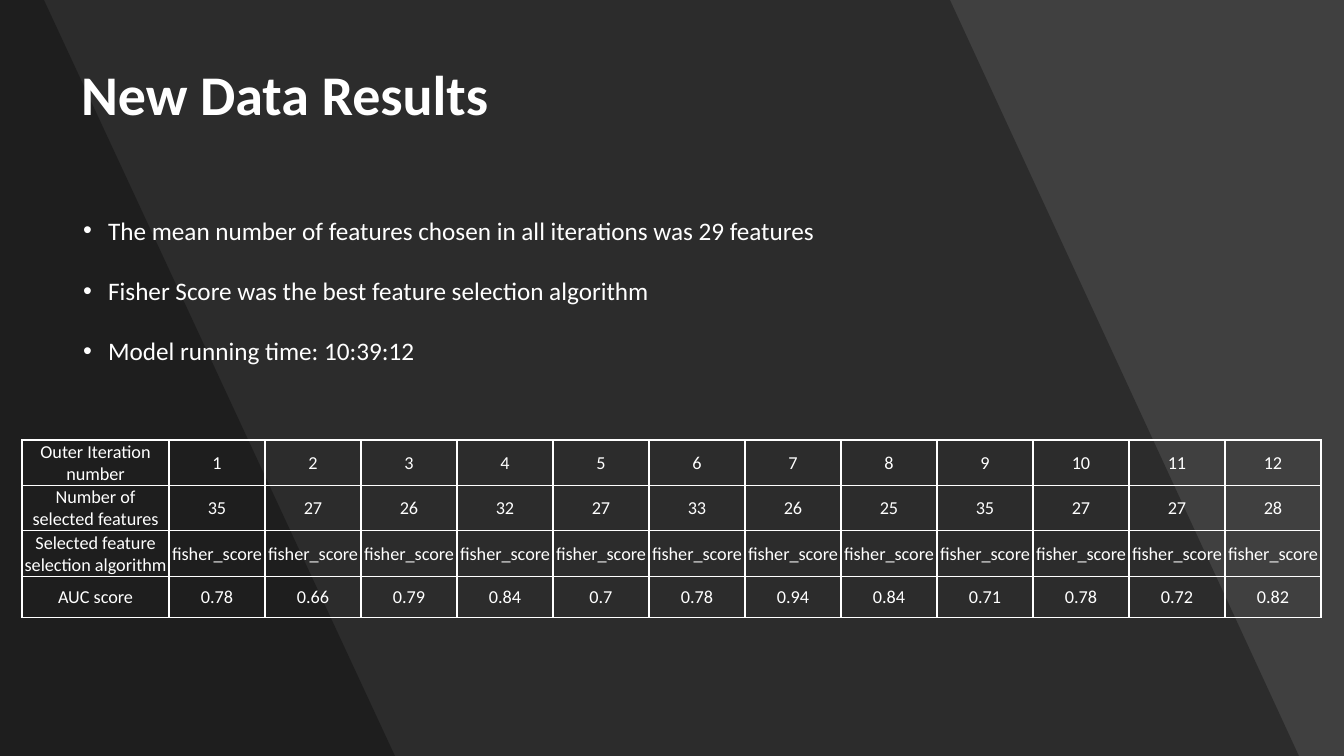
import lxml.etree
import pptx
import pptx.dml.color
import pptx.enum.text
import pptx.oxml
import pptx.oxml.ns
import pptx.util

EMU_PER_PX = 914400 / 100.8
WIDTH, HEIGHT = 1344, 756
FONT = "Calibri"
COLORS = {"background": "404040", "band": "000000", "text": "FFFFFF", "border": "FFFFFF"}

TITLE = "New Data Results"
FINDINGS = [
    "The mean number of features chosen in all iterations was 29 features",
    "Fisher Score was the best feature selection algorithm",
    "Model running time: 10:39:12",
]
FEATURE_COUNTS = [35, 27, 26, 32, 27, 33, 26, 25, 35, 27, 27, 28]
AUC_SCORES = [0.78, 0.66, 0.79, 0.84, 0.7, 0.78, 0.94, 0.84, 0.71, 0.78, 0.72, 0.82]
ITERATIONS = len(AUC_SCORES)
RESULTS = [
    ["Outer Iteration number", *range(1, ITERATIONS + 1)],
    ["Number of selected features", *FEATURE_COUNTS],
    ["Selected feature selection algorithm", *["fisher_score"] * ITERATIONS],
    ["AUC score", *AUC_SCORES],
]


def px(length):
    return pptx.util.Emu(round(length * EMU_PER_PX))


def rgb(name):
    return pptx.dml.color.RGBColor.from_string(COLORS[name])


def style_font(paragraph, size, bold=False):
    font = paragraph.font
    font.name = FONT
    font.size = pptx.util.Pt(size)
    font.bold = bold
    font.color.rgb = rgb("text")


def place(placeholder, box):
    placeholder.left, placeholder.top, placeholder.width, placeholder.height = map(px, box)
    placeholder.text_frame.auto_size = pptx.enum.text.MSO_AUTO_SIZE.NONE
    placeholder.text_frame.word_wrap = True


def add_band(slide, box, top_width):
    left, top, width, height = box
    outline = slide.shapes.build_freeform(left, top, scale=EMU_PER_PX)
    outline.add_line_segments(
        [(left + top_width, top), (left + width, top + height), (left, top + height)]
    )
    band = outline.convert_to_shape()
    band.shadow.inherit = False
    band.line.fill.background()
    band.fill.solid()
    band.fill.fore_color.rgb = rgb("band")
    band_color = band.element.spPr.find(".//" + pptx.oxml.ns.qn("a:srgbClr"))
    lxml.etree.SubElement(band_color, pptx.oxml.ns.qn("a:alpha"), val="30000")
    slide.shapes.title.element.addprevious(band.element)


def fill_title(slide, box):
    title = slide.shapes.title
    place(title, box)
    title.text_frame.text = TITLE
    title.text_frame.vertical_anchor = pptx.enum.text.MSO_ANCHOR.MIDDLE
    heading = title.text_frame.paragraphs[0]
    heading.alignment = pptx.enum.text.PP_ALIGN.LEFT
    heading.line_spacing = 0.9
    style_font(heading, 40, bold=True)


def fill_findings(slide, box):
    findings = slide.placeholders[1]
    place(findings, box)
    findings.text_frame.text = "\n".join(FINDINGS)
    for finding in findings.text_frame.paragraphs:
        properties = finding._p.get_or_add_pPr()
        properties.set("marL", str(px(50)))
        properties.set("indent", str(px(-25)))
        finding.space_before = pptx.util.Pt(0)
        finding.space_after = pptx.util.Pt(21.5)
        style_font(finding, 18)


def add_borders(cell):
    properties = cell._tc.get_or_add_tcPr()
    for side in ("lnL", "lnR", "lnT", "lnB"):
        properties.append(
            pptx.oxml.parse_xml(
                f'<a:{side} {pptx.oxml.ns.nsdecls("a")} w="{pptx.util.Pt(1)}">'
                f'<a:solidFill><a:srgbClr val="{COLORS["border"]}"/></a:solidFill></a:{side}>'
            )
        )


def fill_cell(cell, value):
    add_borders(cell)
    cell.fill.background()
    cell.margin_left = cell.margin_right = cell.margin_top = px(1)
    cell.margin_bottom = 0
    cell.vertical_anchor = pptx.enum.text.MSO_ANCHOR.MIDDLE
    cell.text = str(value)
    entry = cell.text_frame.paragraphs[0]
    entry.alignment = pptx.enum.text.PP_ALIGN.CENTER
    style_font(entry, 13)


def add_results(slide, box, label_width):
    results = slide.shapes.add_table(len(RESULTS), ITERATIONS + 1, *map(px, box)).table
    results.first_row = results.horz_banding = False
    iteration_width = (box[2] - label_width) // ITERATIONS
    for index, column in enumerate(results.columns):
        column.width = px(iteration_width if index else label_width)
    for row, values in zip(results.rows, RESULTS):
        for cell, value in zip(row.cells, values):
            fill_cell(cell, value)


def build_results_slide(deck):
    slide = deck.slides.add_slide(deck.slide_layouts[1])
    slide.background.fill.solid()
    slide.background.fill.fore_color.rgb = rgb("background")
    add_band(slide, (0, 0, 1299, HEIGHT), 950)
    add_band(slide, (0, 0, 395, HEIGHT), 44)
    fill_title(slide, (71, 66, 1047, 63))
    fill_findings(slide, (48, 210, 937, 163))
    add_results(slide, (22, 440, 1299, 164), 147)


def main():
    deck = pptx.Presentation()
    deck.slide_width, deck.slide_height = px(WIDTH), px(HEIGHT)
    build_results_slide(deck)
    deck.save("out.pptx")


if __name__ == "__main__":
    main()
